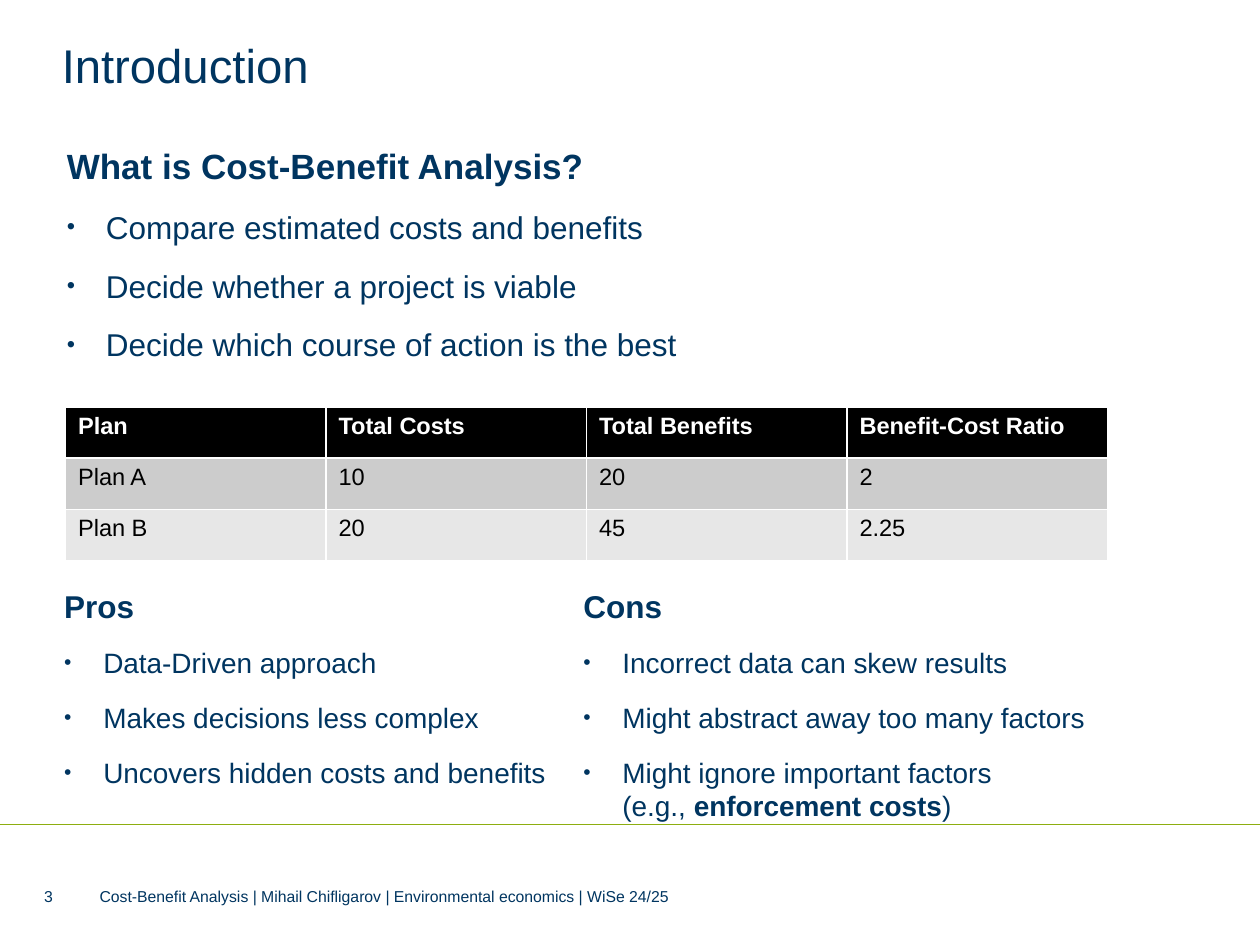
from dataclasses import dataclass

from lxml.etree import SubElement
from pptx import Presentation
from pptx.dml.color import RGBColor
from pptx.enum.shapes import MSO_CONNECTOR
from pptx.enum.text import MSO_ANCHOR, MSO_AUTO_SIZE, PP_ALIGN
from pptx.oxml.ns import qn
from pptx.util import Inches, Pt


@dataclass(frozen=True)
class Theme:
    font: str = "Arial"
    ink: str = "003560"
    rule: str = "8DAE10"
    head: str = "000000"
    light: str = "FFFFFF"
    bands: tuple = ("CCCCCC", "E7E7E7")
    title: float = 27
    lead: float = 20
    large: float = 18
    body: float = 16
    cell: float = 13.5
    foot: float = 9
    gap: float = 12


THEME = Theme()
COLS, ROWS = 100, 75
WIDE, HALF = 82.7, 40.9  # widths of the full and the half text column

INTRO = ["What is Cost-Benefit Analysis?",
         "Compare estimated costs and benefits",
         "Decide whether a project is viable",
         "Decide which course of action is the best"]
PROS = ["Pros", "Data-Driven approach", "Makes decisions less complex",
        "Uncovers hidden costs and benefits"]
CONS = ["Cons", "Incorrect data can skew results",
        "Might abstract away too many factors",
        "Might ignore important factors\n(e.g., *enforcement costs*)"]
PLANS = [["Plan", "Total Costs", "Total Benefits", "Benefit-Cost Ratio"],
         ["Plan A", "10", "20", "2"],
         ["Plan B", "20", "45", "2.25"]]
FOOTER = ("Cost-Benefit Analysis | Mihail Chifligarov | "
          "Environmental economics | WiSe 24/25")


def grid(*cells):
    """Turn (column, row, columns, rows) into slide lengths."""
    units = (10 / COLS, 7.5 / ROWS) * 2
    return [Inches(n * unit) for n, unit in zip(cells, units)]


def place(shape, cells):
    shape.left, shape.top, shape.width, shape.height = grid(*cells)


def style(par, size, color=THEME.ink, bold=False):
    font = par.font
    font.name, font.size, font.bold = THEME.font, Pt(size), bold
    font.color.rgb = RGBColor.from_string(color)


def setup(frame, anchor=MSO_ANCHOR.TOP):
    """Make a wrapping text frame without margins or shrinking."""
    frame.margin_left = frame.margin_right = 0
    frame.margin_top = frame.margin_bottom = 0
    frame.word_wrap = True
    frame.auto_size = MSO_AUTO_SIZE.NONE
    frame.vertical_anchor = anchor


def bullet(par, shown):
    props = par._p.get_or_add_pPr()
    indent = Inches(0.31) if shown else 0
    props.set("marL", str(indent))
    props.set("indent", str(-indent))
    if shown:
        SubElement(props, qn("a:buSzPct"), val="75000")
        SubElement(props, qn("a:buFont"), typeface=THEME.font)
        SubElement(props, qn("a:buChar"), char="•")
    else:
        SubElement(props, qn("a:buNone"))


def add_title(slide, text, cells):
    shape = slide.shapes.title
    place(shape, cells)
    setup(shape.text_frame)
    par = shape.text_frame.paragraphs[0]
    par.text, par.alignment = text, PP_ALIGN.LEFT
    style(par, THEME.title)


def fill_list(shape, items, cells, head, size):
    """Write a bold heading and bullets; *stars* mark bold words."""
    place(shape, cells)
    frame = shape.text_frame
    setup(frame)
    for i, item in enumerate(items):
        par = frame.paragraphs[0] if i == 0 else frame.add_paragraph()
        plain, *rest = item.split("*")
        par.text = plain
        for j, part in enumerate(rest):
            run = par.add_run()
            run.text = part
            run.font.bold = j % 2 == 0
        par.space_before, par.space_after = Pt(0), Pt(THEME.gap)
        bullet(par, i > 0)
        style(par, size if i else head, bold=i == 0)


def add_plans(slide, data, cells):
    frame = slide.shapes.add_table(len(data), len(data[0]), *grid(*cells))
    for r, (row, texts) in enumerate(zip(frame.table.rows, data)):
        fill = THEME.bands[r - 1] if r else THEME.head
        color = THEME.head if r else THEME.light
        for cell, text in zip(row.cells, texts):
            cell.text = text
            cell.fill.solid()
            cell.fill.fore_color.rgb = RGBColor.from_string(fill)
            style(cell.text_frame.paragraphs[0], THEME.cell, color, r == 0)


def add_note(slide, text, cells):
    frame = slide.shapes.add_textbox(*grid(*cells)).text_frame
    setup(frame, MSO_ANCHOR.MIDDLE)
    frame.text = text
    style(frame.paragraphs[0], THEME.foot)


def add_rule(slide, row):
    ends = grid(0, row, COLS, row)
    line = slide.shapes.add_connector(MSO_CONNECTOR.STRAIGHT, *ends)
    line.line.color.rgb = RGBColor.from_string(THEME.rule)
    line.line.width = Pt(0.5)
    SubElement(line._element.spPr, qn("a:effectLst"))


def main():
    deck = Presentation()
    deck.slide_width, deck.slide_height = Inches(10), Inches(7.5)
    slide = deck.slides.add_slide(deck.slide_layouts.get_by_name("Comparison"))
    _, intro, pros, spare, cons = slide.placeholders
    spare._element.getparent().remove(spare._element)

    add_rule(slide, 65.4)
    add_title(slide, "Introduction", (4.9, 2.9, WIDE, 6.8))
    fill_list(intro, INTRO, (5.3, 11.5, WIDE, 18.8), THEME.lead, THEME.large)
    add_plans(slide, PLANS, (5.2, 32.3, WIDE, 12.2))
    for shape, items, col in ((pros, PROS, 5.1), (cons, CONS, 46.3)):
        fill_list(shape, items, (col, 46.6, HALF, 18.8),
                  THEME.large, THEME.body)
    add_note(slide, "3", (3.5, 70.3, 2.8, 1.6))
    add_note(slide, FOOTER, (7.9, 70.3, 68.9, 1.6))
    deck.save("out.pptx")


if __name__ == "__main__":
    main()
